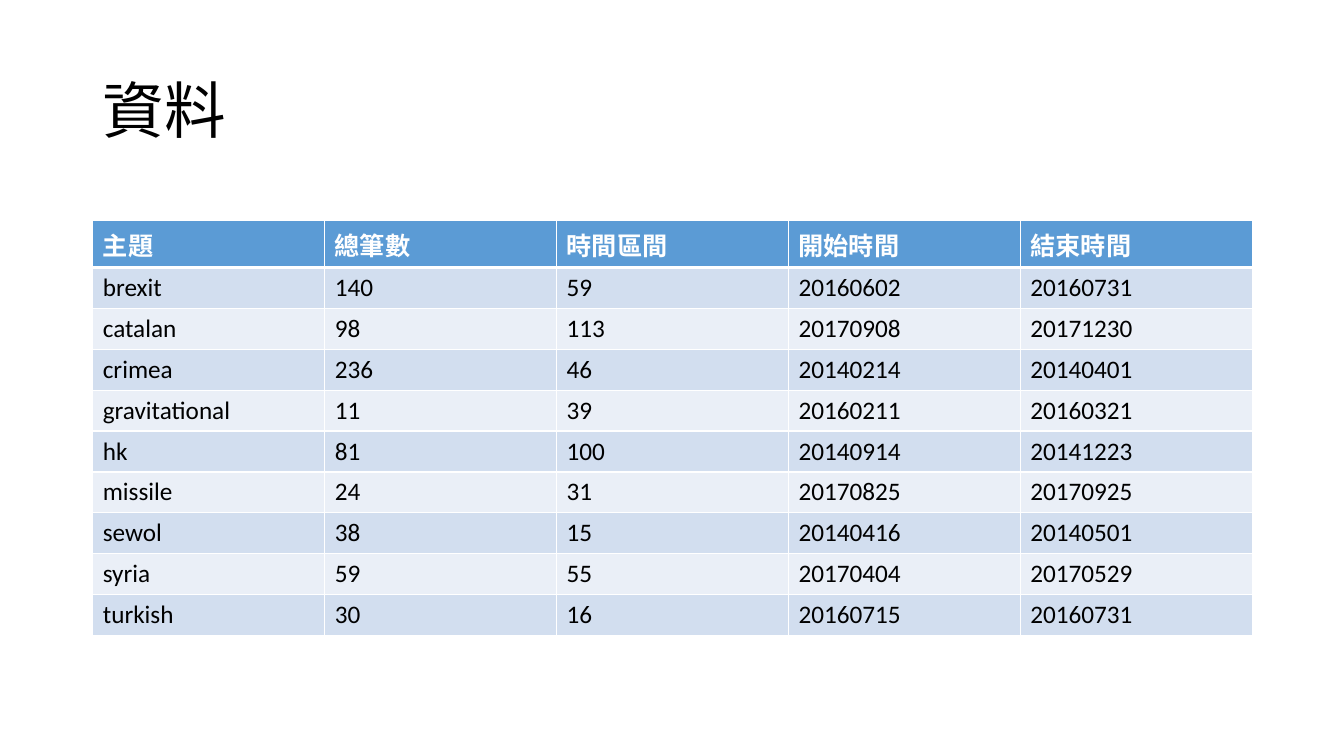
from lxml import etree
from pptx import Presentation
from pptx.dml.color import RGBColor
from pptx.enum import lang, text
from pptx.oxml import ns
from pptx.util import Inches, Pt

LEFT, WIDTH = 0.92, 11.5
WHITE, BLACK = "FFFFFF", "000000"
HEADER_BLUE, BANDS = "5B9BD5", ("D2DEEF", "EAEFF7")

HEADINGS = ("主題", "總筆數", "時間區間", "開始時間", "結束時間")
TOPICS = (
    ("brexit", 140, 59, 20160602, 20160731),
    ("catalan", 98, 113, 20170908, 20171230),
    ("crimea", 236, 46, 20140214, 20140401),
    ("gravitational", 11, 39, 20160211, 20160321),
    ("hk", 81, 100, 20140914, 20141223),
    ("missile", 24, 31, 20170825, 20170925),
    ("sewol", 38, 15, 20140416, 20140501),
    ("syria", 59, 55, 20170404, 20170529),
    ("turkish", 30, 16, 20160715, 20160731),
)


def rgb(value):
    return RGBColor.from_string(value)


def write(frame, words, size=18, color=BLACK, bold=False, spacing=1.0):
    paragraph = frame.paragraphs[0]
    paragraph.alignment = text.PP_ALIGN.LEFT
    paragraph.line_spacing = spacing
    run = paragraph.add_run()
    run.text = str(words)
    font = run.font
    font.name, font.size, font.bold = "Calibri", Pt(size), bold
    font.color.rgb = rgb(color)
    font.language_id = lang.MSO_LANGUAGE_ID.TRADITIONAL_CHINESE


def set_borders(cell, **widths):
    """Draw white cell borders; widths are points keyed by L, R, T, B."""
    properties = cell._tc.get_or_add_tcPr()
    for index, (side, width) in enumerate(widths.items()):
        line = etree.Element(ns.qn(f"a:ln{side}"), w=str(Pt(width)))
        fill = etree.SubElement(line, ns.qn("a:solidFill"))
        etree.SubElement(fill, ns.qn("a:srgbClr"), val=WHITE)
        properties.insert(index, line)


def add_title(slide, words):
    title = slide.shapes.title
    title.left, title.top = Inches(LEFT), Inches(0.4)
    title.width, title.height = Inches(WIDTH), Inches(1.45)
    title.text_frame.vertical_anchor = text.MSO_ANCHOR.MIDDLE
    write(title.text_frame, words, size=44, spacing=0.9)


def add_topic_table(slide, headings, topics):
    rows = (headings, *topics)
    table = slide.shapes.add_table(
        len(rows), len(headings),
        Inches(LEFT), Inches(2.19), Inches(WIDTH), Inches(4.06)).table
    for r, values in enumerate(rows):
        header = r == 0
        for c, value in enumerate(values):
            cell = table.cell(r, c)
            cell.fill.solid()
            cell.fill.fore_color.rgb = rgb(HEADER_BLUE if header else BANDS[(r - 1) % 2])
            write(cell.text_frame, value, color=WHITE if header else BLACK, bold=header)
            # The rule under the header is thicker than the grid
            set_borders(cell, L=1, R=1, T=3 if r == 1 else 1, B=3 if header else 1)


def main():
    deck = Presentation()
    deck.slide_width, deck.slide_height = Inches(13.33), Inches(7.5)
    slide = deck.slides.add_slide(deck.slide_layouts[5])  # title only
    add_title(slide, "資料")
    add_topic_table(slide, HEADINGS, TOPICS)
    deck.save("out.pptx")


if __name__ == "__main__":
    main()
